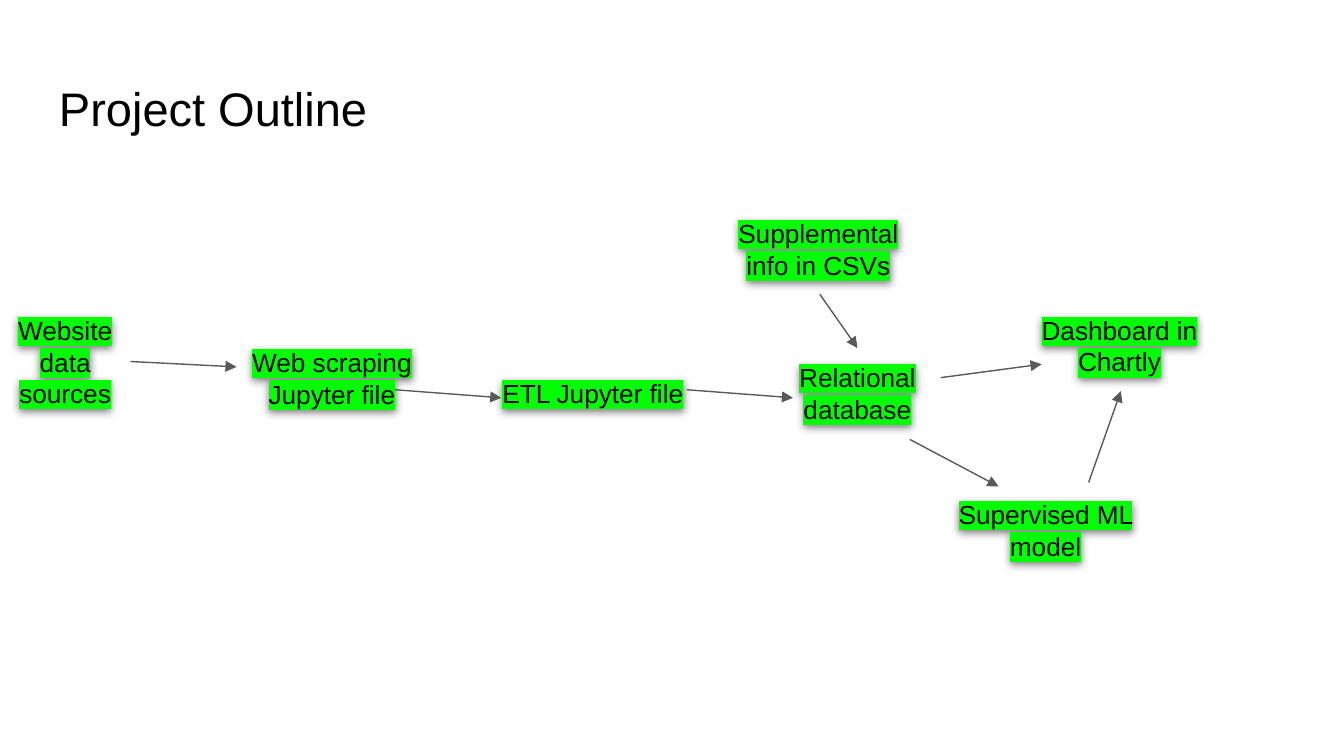
from lxml.etree import SubElement
from pptx import Presentation
from pptx.dml.color import RGBColor
from pptx.enum.shapes import MSO_CONNECTOR
from pptx.enum.text import MSO_ANCHOR, MSO_AUTO_SIZE, PP_ALIGN
from pptx.oxml import parse_xml
from pptx.oxml.ns import nsdecls, qn
from pptx.util import Inches, Pt

BLACK, GREEN, GREY = "000000", "00FF00", "595959"
STEP_WIDTH = 1.56
STEPS = [
    ("Website data sources", 0, 2.24, 0.97, 0.91, PP_ALIGN.CENTER),
    ("Web scraping Jupyter file", 1.69, 2.48, STEP_WIDTH, 0.67, PP_ALIGN.CENTER),
    ("ETL Jupyter file", 3.64, 2.71, STEP_WIDTH, 0.44, PP_ALIGN.LEFT),
    ("Relational database", 5.6, 2.59, STEP_WIDTH, 0.67, PP_ALIGN.CENTER),
    ("Dashboard in Chartly", 7.55, 2.24, STEP_WIDTH, 0.67, PP_ALIGN.CENTER),
    ("Supervised ML model", 7, 3.61, STEP_WIDTH, 0.67, PP_ALIGN.CENTER),
    ("Supplemental info in CSVs", 5.31, 1.52, STEP_WIDTH, 0.67, PP_ALIGN.CENTER),
]
FLOWS = [
    (0.97, 2.69, 1.76, 2.73),
    (2.94, 2.9, 3.73, 2.96),
    (5.11, 2.9, 5.9, 2.96),
    (6.1, 2.19, 6.38, 2.59),
    (6.77, 3.27, 7.43, 3.62),
    (7, 2.81, 7.75, 2.71),
    (8.1, 3.59, 8.34, 2.91),
]


def color(value):
    """Turn a hex string into a colour."""
    return RGBColor.from_string(value)


def add_text(slide, wording, left, top, width, height, size, align=PP_ALIGN.LEFT):
    """Add a wrapped text box and return it with its run."""
    box = slide.shapes.add_textbox(*map(Inches, (left, top, width, height)))
    frame_format = {
        "word_wrap": True,
        "auto_size": MSO_AUTO_SIZE.NONE,
        "vertical_anchor": MSO_ANCHOR.TOP,
        "margin_left": Inches(0.1),
        "margin_right": Inches(0.1),
        "margin_top": Inches(0.1),
        "margin_bottom": Inches(0.1),
    }
    for name, value in frame_format.items():
        setattr(box.text_frame, name, value)
    paragraph = box.text_frame.paragraphs[0]
    paragraph.alignment = align
    run = paragraph.add_run()
    run.text = wording
    for name, value in {"name": "Arial", "size": Pt(size)}.items():
        setattr(run.font, name, value)
    run.font.color.rgb = color(BLACK)
    return box, run


def add_step(slide, wording, left, top, width, height, align):
    """Add a highlighted process step with a soft shadow."""
    box, run = add_text(slide, wording, left, top, width, height, 14, align)
    box.text_frame.auto_size = MSO_AUTO_SIZE.SHAPE_TO_FIT_TEXT
    highlight = parse_xml(
        f'<a:highlight {nsdecls("a")}><a:srgbClr val="{GREEN}"/></a:highlight>'
    )
    run.font._element.find(qn("a:solidFill")).addnext(highlight)
    box._element.spPr.append(parse_xml(
        f'<a:effectLst {nsdecls("a")}>'
        '<a:outerShdw blurRad="57150" dist="19050" dir="5400000" algn="bl" rotWithShape="0">'
        f'<a:srgbClr val="{BLACK}"><a:alpha val="50000"/></a:srgbClr>'
        '</a:outerShdw></a:effectLst>'
    ))


def add_flow(slide, *ends):
    """Add an arrow from one step towards the next."""
    arrow = slide.shapes.add_connector(MSO_CONNECTOR.STRAIGHT, *map(Inches, ends))
    arrow.line.color.rgb = color(GREY)
    arrow.line.width = Pt(0.75)
    properties = arrow._element.spPr
    SubElement(properties.find(qn("a:ln")), qn("a:tailEnd"), type="triangle", w="med", len="med")
    SubElement(properties, qn("a:effectLst"))


def main():
    """Build the project outline slide."""
    deck = Presentation()
    deck.slide_width, deck.slide_height = Inches(10), Inches(10 * 9 / 16)
    slide = deck.slides.add_slide(deck.slide_layouts[6])
    add_text(slide, "Project Outline", 0.34, 0.49, 9.32, 0.63, 25.2)
    for step in STEPS:
        add_step(slide, *step)
    for flow in FLOWS:
        add_flow(slide, *flow)
    deck.save("out.pptx")


if __name__ == "__main__":
    main()
